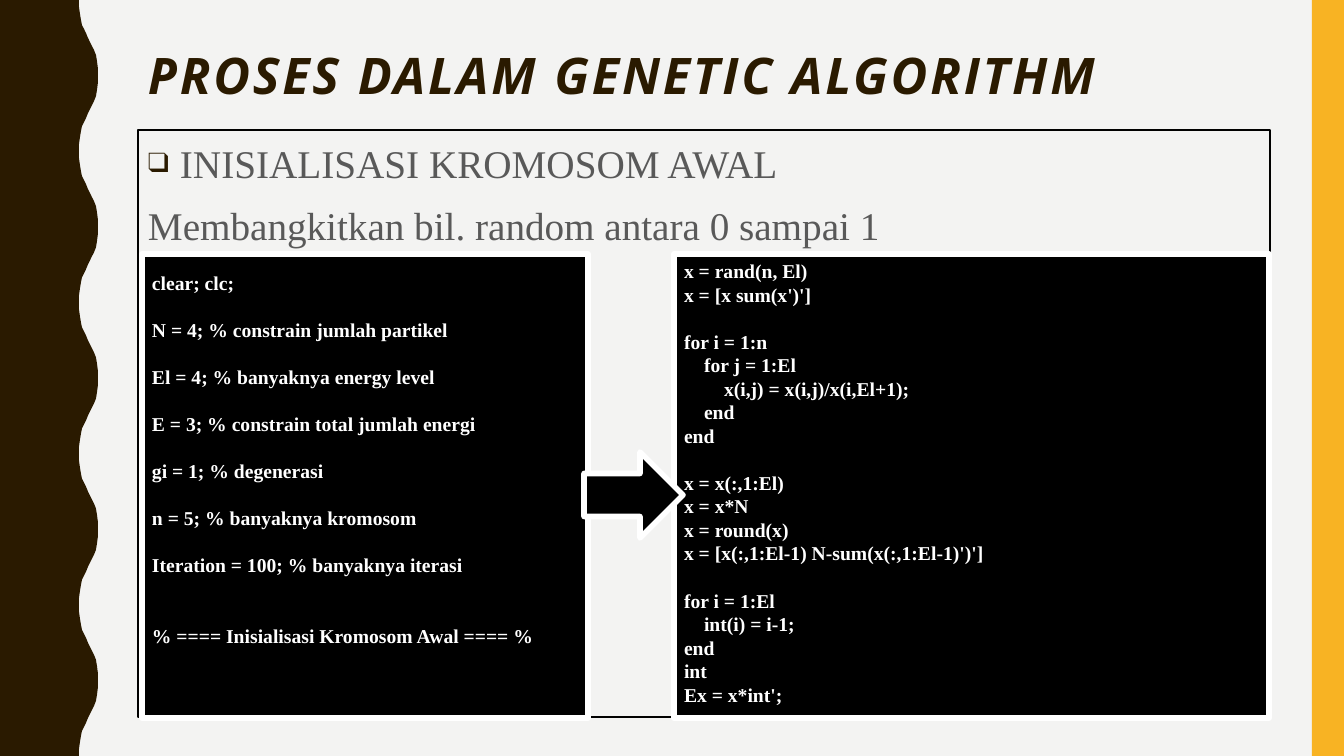
from dataclasses import dataclass

from lxml.etree import SubElement
from pptx import Presentation
from pptx.dml.color import RGBColor
from pptx.enum.shapes import MSO_SHAPE
from pptx.enum.text import MSO_ANCHOR, PP_ALIGN
from pptx.oxml.ns import qn
from pptx.util import Pt

WIDTH, HEIGHT = 1344, 756
EMU_PER_PX = 914400 / 100.8


@dataclass(frozen=True)
class Theme:
    background: RGBColor = RGBColor.from_string("F3F3F2")
    dark: RGBColor = RGBColor.from_string("2A1A00")
    accent: RGBColor = RGBColor.from_string("F8B323")
    body: RGBColor = RGBColor.from_string("595959")
    black: RGBColor = RGBColor.from_string("000000")
    white: RGBColor = RGBColor.from_string("FFFFFF")
    title_font: str = "Open Sans"
    text_font: str = "Times New Roman"
    title_size: int = 36
    body_size: int = 28
    code_size: int = 14
    code_line: float = 16.8


THEME = Theme()

# Half a wave of the left edge, from trough to crest: (x, y)
HALF_WAVE = [(79, 0), (79, 7), (80, 14), (81, 20), (82, 25), (84, 29), (86, 33),
             (88, 38), (90, 42), (92, 46), (94, 50), (96, 55), (97, 61), (98, 69)]
WAVE_COUNT = 5

# Code lines: (text, indent level, empty lines above)
SETUP_CODE = [
    ("clear; clc;", 0, 0),
    ("N = 4; % constrain jumlah partikel", 0, 1),
    ("El = 4; % banyaknya energy level", 0, 1),
    ("E = 3; % constrain total jumlah energi", 0, 1),
    ("gi = 1; % degenerasi", 0, 1),
    ("n = 5; % banyaknya kromosom", 0, 1),
    ("Iteration = 100; % banyaknya iterasi", 0, 1),
    ("% ==== Inisialisasi Kromosom Awal ==== %", 0, 2),
]
RANDOM_CODE = [
    ("x = rand(n, El)", 0, 0),
    ("x = [x sum(x')']", 0, 0),
    ("for i = 1:n", 0, 1),
    ("for j = 1:El", 1, 0),
    ("x(i,j) = x(i,j)/x(i,El+1);", 2, 0),
    ("end", 1, 0),
    ("end", 0, 0),
    ("x = x(:,1:El)", 0, 1),
    ("x = x*N", 0, 0),
    ("x = round(x)", 0, 0),
    ("x = [x(:,1:El-1) N-sum(x(:,1:El-1)')']", 0, 0),
    ("for i = 1:El", 0, 1),
    ("int(i) = i-1;", 1, 0),
    ("end", 0, 0),
    ("int", 0, 0),
    ("Ex = x*int';", 0, 0),
]


def px(length):
    return round(length * EMU_PER_PX)


def paint(shape, fill=None, line=None, line_width=1):
    shape.shadow.inherit = False
    if fill is None:
        shape.fill.background()
    else:
        shape.fill.solid()
        shape.fill.fore_color.rgb = fill
    if line is None:
        shape.line.fill.background()
    else:
        shape.line.color.rgb = line
        shape.line.width = Pt(line_width)


def add_block(page, kind, left, top, width, height, **colors):
    block = page.shapes.add_shape(kind, px(left), px(top), px(width), px(height))
    paint(block, **colors)
    return block


def prepare_frame(shape, top_inset=5):
    frame = shape.text_frame
    frame.word_wrap = True
    frame.vertical_anchor = MSO_ANCHOR.TOP
    frame.margin_left = frame.margin_right = px(10)
    frame.margin_top, frame.margin_bottom = px(top_inset), px(5)
    return frame


def add_line(frame, text, font_name, size, color, bold=False):
    """Fill the frame's first paragraph, or append one once it has text."""
    para = frame.paragraphs[0] if not frame.text else frame.add_paragraph()
    para.text = text
    para.alignment = PP_ALIGN.LEFT
    para.font.name = font_name
    para.font.size = Pt(size)
    para.font.bold = bold
    para.font.color.rgb = color
    return para


def indent(para, left, first=0):
    properties = para._p.get_or_add_pPr()
    properties.set("marL", str(px(left)))
    properties.set("indent", str(px(first)))
    return properties


def add_wavy_edge(page):
    period = HEIGHT / WAVE_COUNT
    wave = HALF_WAVE + [(x, period - y) for x, y in reversed(HALF_WAVE)]
    edge = [(px(x), px(y + period * turn)) for turn in range(WAVE_COUNT) for x, y in wave]
    builder = page.shapes.build_freeform(0, 0)
    builder.add_line_segments(edge + [(0, px(HEIGHT))], close=True)
    paint(builder.convert_to_shape(), fill=THEME.dark)


def add_title(page, text):
    box = page.shapes.add_textbox(px(138), px(46), px(1115), px(117))
    para = add_line(prepare_frame(box), text, THEME.title_font, THEME.title_size,
                    THEME.dark, bold=True)
    para.font.italic = True
    para.line_spacing = 0.9
    para.runs[0].font._element.set("spc", "200")


def add_body(page, heading, sentence):
    panel = add_block(page, MSO_SHAPE.RECTANGLE, 138, 130, 1132, 587, line=THEME.black)
    frame = prepare_frame(panel)
    for text in (heading, sentence):
        para = add_line(frame, text, THEME.text_font, THEME.body_size, THEME.body)
        para.line_spacing = 1.1
        para.space_before = Pt(7)
    properties = indent(frame.paragraphs[0], 32, -32)
    bullet = [("buClr", {}), ("buSzPct", {"val": "71000"}),
              ("buFont", {"typeface": THEME.text_font}), ("buChar", {"char": "❑"})]
    following = properties.find(qn("a:defRPr"))
    for tag, attributes in bullet:
        part = SubElement(properties, qn(f"a:{tag}"), attributes)
        if tag == "buClr":
            SubElement(part, qn("a:srgbClr"), {"val": str(THEME.dark)})
        if following is not None:
            following.addprevious(part)


def add_code(page, left, width, top_inset, lines):
    panel = add_block(page, MSO_SHAPE.RECTANGLE, left, 254, width, 464,
                      fill=THEME.black, line=THEME.white, line_width=4)
    frame = prepare_frame(panel, top_inset)
    for text, level, empty_lines in lines:
        para = add_line(frame, text, THEME.text_font, THEME.code_size, THEME.white, bold=True)
        para.space_before = Pt(empty_lines * THEME.code_line)
        indent(para, 20 * level)


def main():
    deck = Presentation()
    deck.slide_width, deck.slide_height = px(WIDTH), px(HEIGHT)
    page = deck.slides.add_slide(deck.slide_layouts[6])
    page.background.fill.solid()
    page.background.fill.fore_color.rgb = THEME.background

    add_wavy_edge(page)
    add_block(page, MSO_SHAPE.RECTANGLE, 1312, 0, 32, HEIGHT, fill=THEME.accent)
    add_title(page, "PROSES DALAM GENETIC ALGORITHM")
    add_body(page, "INISIALISASI KROMOSOM AWAL", "Membangkitkan bil. random antara 0 sampai 1")
    add_code(page, 674, 595, 5, RANDOM_CODE)
    add_code(page, 142, 446, 17, SETUP_CODE)
    add_block(page, MSO_SHAPE.RIGHT_ARROW, 584, 452, 99, 86,
              fill=THEME.black, line=THEME.white, line_width=4)
    deck.save("out.pptx")


if __name__ == "__main__":
    main()
